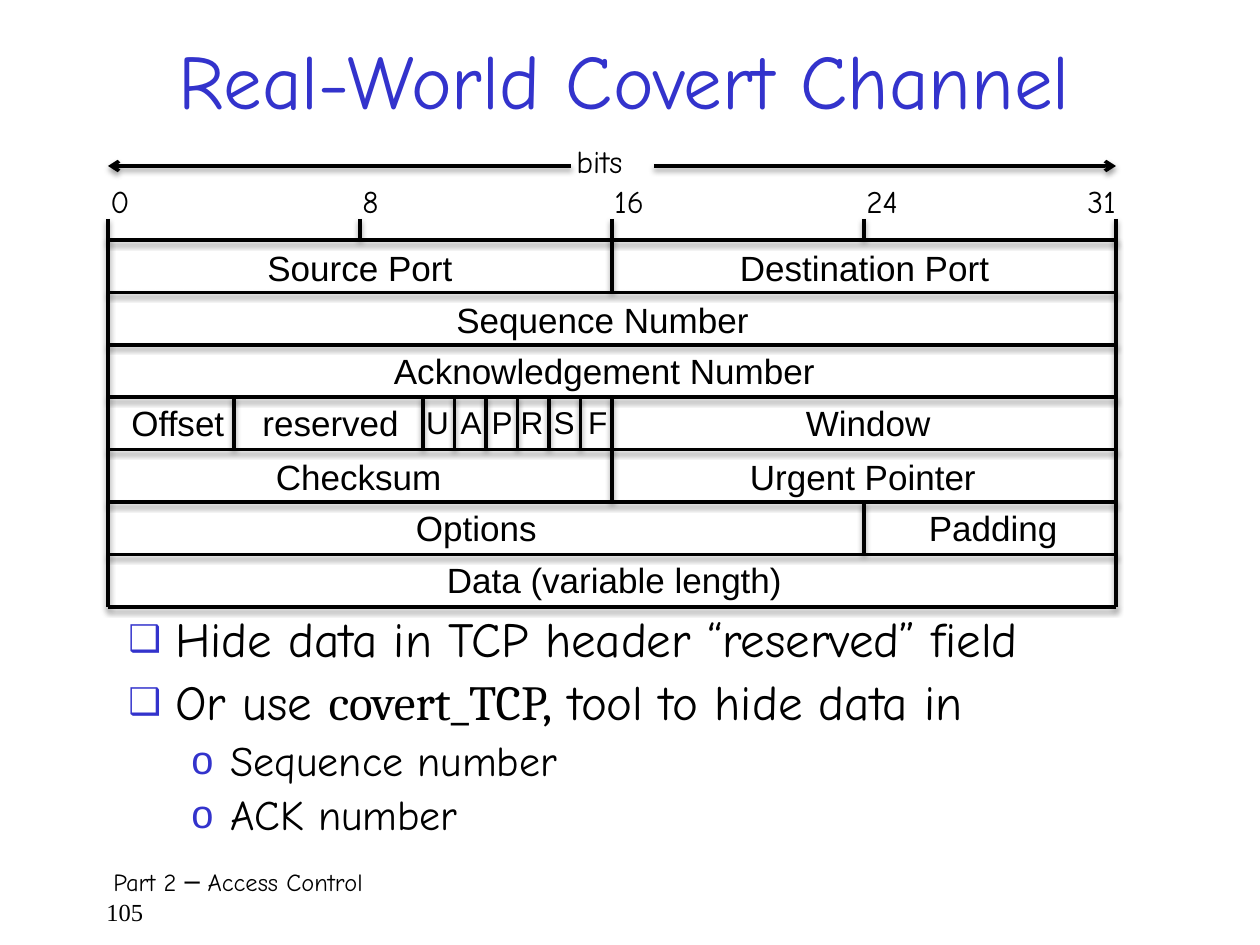
from lxml.etree import SubElement
from pptx import Presentation
from pptx.dml.color import RGBColor
from pptx.enum.shapes import MSO_CONNECTOR as Connector
from pptx.enum.text import MSO_ANCHOR as Anchor, PP_ALIGN as Align
from pptx.oxml.ns import qn
from pptx.util import Emu, Pt

EMU_PER_PX = 914400 / 126
BLACK, BLUE = "000000", "3333CC"
HAND, SANS, SERIF, ROMAN = "Comic Neue", "Arial", "Cambria", "Times New Roman"

BITS = 32
# One list per row: (label, bits, label width, shift from the cell's centre)
HEADER_ROWS = [
    [("Source Port", 16, 212, 1), ("Destination Port", 16, 277, 2)],
    [("Sequence Number", 32, 320, -8)],
    [("Acknowledgement Number", 32, 451, -5)],
    [("Offset", 4, 120, 8), ("reserved", 6, 163, 3),
     ("U", 1, 48, -1), ("A", 1, 48, 2), ("P", 1, 47, 1),
     ("R", 1, 48, -1), ("S", 1, 47, 0), ("F", 1, 45, 2),
     ("Window", 16, 155, 7)],
    [("Checksum", 16, 193, 0), ("Urgent Pointer", 16, 253, 0)],
    [("Options", 24, 147, -9), ("Padding", 8, 155, 4)],
    [("Data (variable length)", 32, 363, 4)],
]
LABEL_LIFTS = [0, 0, 2, 2, 0, 2, 2]
# (label, left, width), left counted from the header's left edge
SCALE_LABELS = [("0", -10, 45), ("8", 242, 45), ("16", 494, 59),
                ("24", 746, 64), ("31", 967, 59)]
# (bullet level, runs of text and font)
BULLETS = [
    (0, [("Hide data in TCP header “reserved” field", HAND)]),
    (0, [("Or use ", HAND), ("covert_TCP,", SERIF),
         (" tool to hide data in", HAND)]),
    (1, [("Sequence number", HAND)]),
    (1, [("ACK number", HAND)]),
]
# Per level: character, size, space before, left margin, hanging, bullet percent
LEVELS = [("❑", 28, 6, 47, 47, 75), ("o", 24, 5, 102, 39, 95)]


def px(length):
    return Emu(round(length * EMU_PER_PX))


def color(hex_string):
    return RGBColor.from_string(hex_string)


def add_run(paragraph, text, font, size, hex_color=BLACK):
    run = paragraph.add_run()
    run.text = text
    run.font.name = font
    run.font.size = Pt(size)
    run.font.color.rgb = color(hex_color)


def add_box(slide, left, top, width, height, wrap=True):
    """Add an empty text box and return its text frame."""
    shape = slide.shapes.add_textbox(px(left), px(top), px(width), px(height))
    shape.text_frame.word_wrap = wrap
    return shape.text_frame


def add_label(slide, text, left, top, width, height, font, size):
    frame = add_box(slide, left, top, width, height, wrap=False)
    add_run(frame.paragraphs[0], text, font, size)


def add_line(slide, x1, y1, x2, y2, arrow=False):
    """Draw a shadowed rule, with an arrowhead at its end if asked."""
    line = slide.shapes.add_connector(
        Connector.STRAIGHT, px(x1), px(y1), px(x2), px(y2))
    line.line.color.rgb = color(BLACK)
    line.line.width = Pt(2)
    properties = line._element.spPr
    if arrow:
        SubElement(properties.find(qn("a:ln")), qn("a:tailEnd"), type="arrow")
    effects = SubElement(properties, qn("a:effectLst"))
    shadow = SubElement(effects, qn("a:outerShdw"), blurRad="40000",
                        dist="20000", dir="5400000", rotWithShape="0")
    black = SubElement(shadow, qn("a:srgbClr"), val=BLACK)
    SubElement(black, qn("a:alpha"), val="38000")


def add_title(slide, left, top, width, height):
    frame = add_box(slide, left, top, width, height)
    frame.vertical_anchor = Anchor.MIDDLE
    paragraph = frame.paragraphs[0]
    paragraph.alignment = Align.CENTER
    add_run(paragraph, "Real-World Covert Channel", HAND, 44, BLUE)


def add_bit_scale(slide, left, top, width, height):
    """Draw the bit arrows, the bit numbers and the ticks below them."""
    right, bottom = left + width, top + height
    arrow_y = top + 30
    add_line(slide, left + 463, arrow_y, left, arrow_y, arrow=True)
    add_line(slide, right - 462, arrow_y, right, arrow_y, arrow=True)
    add_label(slide, "bits", left + 456, top, 83, 50, HAND, 18)
    for text, offset, label_width in SCALE_LABELS:
        add_label(slide, text, left + offset, top + 40, label_width, 50,
                  HAND, 18)
    for bit in range(0, BITS + 1, 8):
        x = left + width * bit / BITS
        add_line(slide, x, bottom - 21, x, bottom)


def add_tcp_header(slide, left, top, width, height):
    """Draw the rows of header fields, each cell as wide as its bits."""
    right, bottom = left + width, top + height
    row_height = height / len(HEADER_ROWS)
    for index in range(len(HEADER_ROWS) + 1):
        y = top + index * row_height
        add_line(slide, left, y, right, y)
    for x in (left, right):
        add_line(slide, x, top, x, bottom)
    for index, (fields, lift) in enumerate(zip(HEADER_ROWS, LABEL_LIFTS)):
        x, y = left, top + index * row_height
        for text, bits, label_width, shift in fields:
            cell_width = width * bits / BITS
            if x > left:
                add_line(slide, x, y, x, y + row_height)
            label_left = x + (cell_width - label_width) / 2 + shift
            if bits == 1:
                add_label(slide, text, label_left, y, label_width, 50,
                          SANS, 18)
            else:
                add_label(slide, text, label_left, y - lift, label_width, 55,
                          SANS, 20)
            x += cell_width


def add_bullets(slide, left, top, width, height):
    frame = add_box(slide, left, top, width, height)
    for index, (level, runs) in enumerate(BULLETS):
        character, size, space, margin, hanging, percent = LEVELS[level]
        paragraph = frame.add_paragraph() if index else frame.paragraphs[0]
        paragraph.level = level
        paragraph.line_spacing = 0.9
        if index:
            paragraph.space_before = Pt(space)
        properties = paragraph._p.get_or_add_pPr()
        properties.set("marL", str(px(margin)))
        properties.set("indent", str(-px(hanging)))
        bullet_color = SubElement(properties, qn("a:buClr"))
        SubElement(bullet_color, qn("a:srgbClr"), val=BLUE)
        SubElement(properties, qn("a:buSzPct"), val=str(percent * 1000))
        SubElement(properties, qn("a:buFont"), typeface=SANS)
        SubElement(properties, qn("a:buChar"), char=character)
        for text, font in runs:
            add_run(paragraph, text, font, size)


def add_footer(slide, left, top, width, height):
    frame = add_box(slide, left, top, width, height)
    section = frame.paragraphs[0]
    section._p.get_or_add_pPr().set("marL", str(px(7)))
    add_run(section, "Part 2 ─ Access Control", HAND, 14)
    add_run(frame.add_paragraph(), "105", ROMAN, 14)


def main():
    presentation = Presentation()
    presentation.slide_width = px(1260)
    presentation.slide_height = px(945)
    slide = presentation.slides.add_slide(presentation.slide_layouts[6])
    add_footer(slide, 94, 861, 1081, 63)
    add_title(slide, 84, 21, 1081, 116)
    add_bullets(slide, 116, 609, 1050, 252)
    add_bit_scale(slide, 108, 136, 1008, 104)
    add_tcp_header(slide, 108, 240, 1008, 367)
    presentation.save("out.pptx")


if __name__ == "__main__":
    main()
